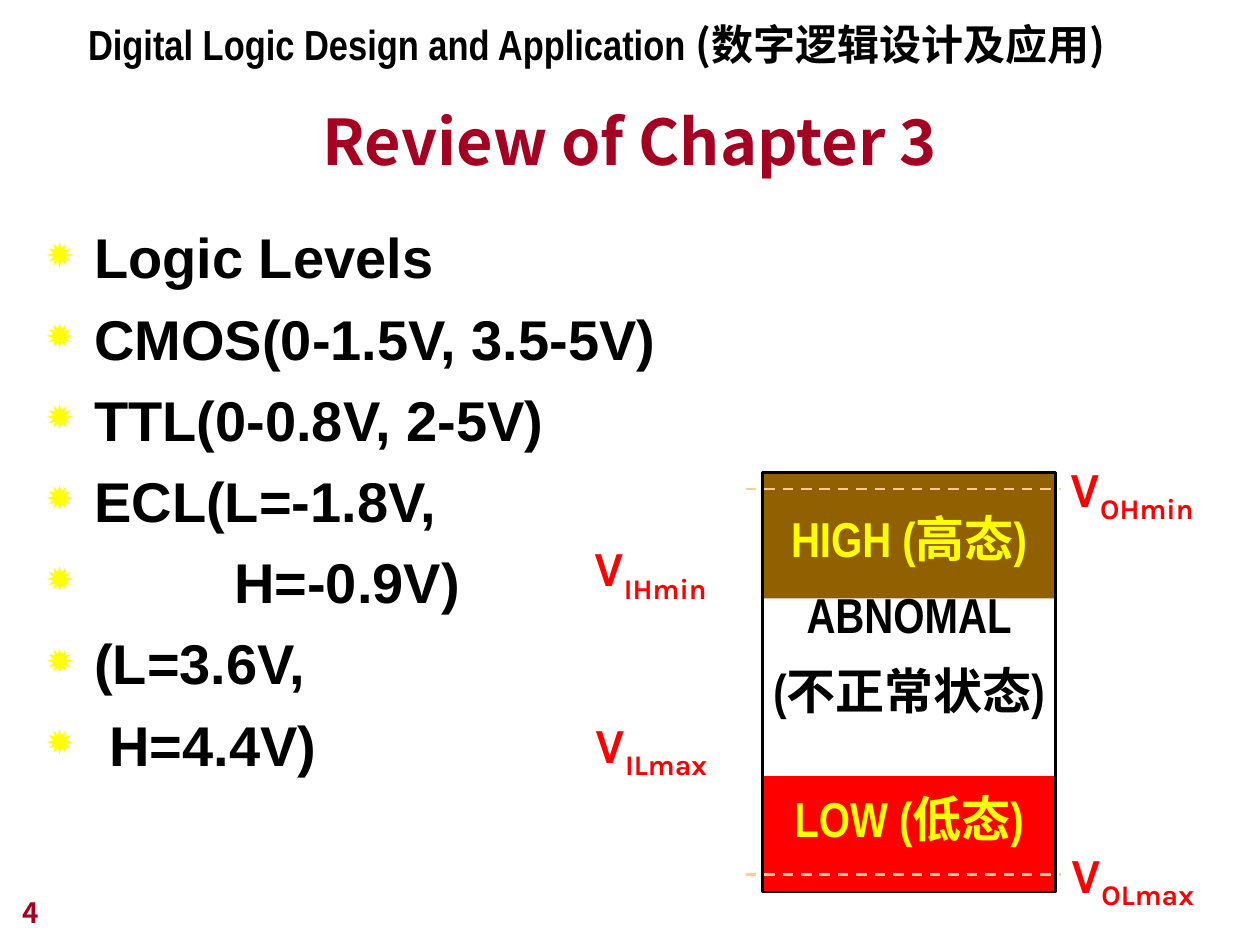
from lxml import etree
from pptx import Presentation
from pptx.dml.color import RGBColor
from pptx.enum.dml import MSO_LINE
from pptx.enum.shapes import MSO_CONNECTOR, MSO_SHAPE
from pptx.enum.text import MSO_ANCHOR, PP_ALIGN
from pptx.oxml.ns import qn
from pptx.util import Inches, Pt

DASH = MSO_LINE.DASH
STRAIGHT = MSO_CONNECTOR.STRAIGHT
RECTANGLE = MSO_SHAPE.RECTANGLE
TOP, BOTTOM = MSO_ANCHOR.TOP, MSO_ANCHOR.BOTTOM
LEFT, CENTER = PP_ALIGN.LEFT, PP_ALIGN.CENTER

BLACK = RGBColor(0x00, 0x00, 0x00)
CRIMSON = RGBColor(0xA5, 0x00, 0x21)
YELLOW = RGBColor(0xFF, 0xFF, 0x00)
RED = RGBColor(0xFF, 0x00, 0x00)
BROWN = RGBColor(0x91, 0x61, 0x01)
PEACH = RGBColor(0xFF, 0xCC, 0x99)

BODY_FONT = "Arial"
NARROW_FONT = "Arial Narrow"
LABEL_FONT = "Karla"
CJK_FONT = "Noto Sans CJK JP"

# Text and the left indent of each bullet
BULLETS = [
    ("Logic Levels", 0.38),
    ("CMOS(0-1.5V, 3.5-5V)", 0.38),
    ("TTL(0-0.8V, 2-5V)", 0.38),
    ("ECL(L=-1.8V,", 0.38),
    ("H=-0.9V)", 1.49),
    ("(L=3.6V,", 0.38),
    ("H=4.4V)", 0.5),
]

# Text, colour, line spacing and space before of each level
LEVELS = [
    ("HIGH (高态)", YELLOW, 1.5, 0),
    ("ABNOMAL", BLACK, 1.3, 0),
    ("(不正常状态)", BLACK, 1.3, 0),
    ("LOW (低态)", YELLOW, 1.1, 36),
]

# Subscript, left, top and width of each voltage label
VOLTAGES = [
    ("OLmax", 8.41, 6.65, 1.24),
    ("ILmax", 4.63, 5.62, 1.15),
    ("IHmin", 4.62, 4.22, 1.15),
    ("OHmin", 8.4, 3.59, 1.24),
]

BAR_LEFT, BAR_TOP, BAR_WIDTH, BAR_HEIGHT = 6.05, 3.75, 2.33, 3.33
HIGH_HEIGHT, LOW_HEIGHT = 1, 0.92


def add_run(paragraph, text, size, font_name, color):
    run = paragraph.add_run()
    run.text = text
    run.font.size = Pt(size)
    run.font.name = font_name
    run.font.bold = True
    run.font.color.rgb = color
    return run


def add_text_box(slide, left, top, width, height, anchor=TOP, wrap=True):
    box = slide.shapes.add_textbox(
        Inches(left), Inches(top), Inches(width), Inches(height))
    box.text_frame.word_wrap = wrap
    box.text_frame.vertical_anchor = anchor
    return box.text_frame


def next_paragraph(frame, index):
    return frame.paragraphs[0] if index == 0 else frame.add_paragraph()


def add_bullet(paragraph, indent):
    properties = paragraph._p.get_or_add_pPr()
    properties.set("marL", str(Inches(indent)))
    properties.set("indent", str(-Inches(indent)))
    color = etree.SubElement(properties, qn("a:buClr"))
    etree.SubElement(color, qn("a:srgbClr"), val=str(YELLOW))
    etree.SubElement(properties, qn("a:buSzPct"), val="80000")
    etree.SubElement(properties, qn("a:buChar"), char="✹")


def add_bullet_list(slide):
    frame = add_text_box(slide, 0.27, 1.72, 9, 5.33)
    for index, (text, indent) in enumerate(BULLETS):
        paragraph = next_paragraph(frame, index)
        add_bullet(paragraph, indent)
        if index:
            paragraph.space_before = Pt(8)
        add_run(paragraph, text, 32, BODY_FONT, BLACK)


def add_bar_part(slide, top, height, fill=None):
    shape = slide.shapes.add_shape(
        RECTANGLE, Inches(BAR_LEFT), Inches(top),
        Inches(BAR_WIDTH), Inches(height))
    shape.shadow.inherit = False
    if fill is None:
        shape.fill.background()
        shape.line.color.rgb = BLACK
        shape.line.width = Pt(1.5)
    else:
        shape.fill.solid()
        shape.fill.fore_color.rgb = fill
        shape.line.fill.background()
    return shape


def add_level_bar(slide):
    low_top = BAR_TOP + BAR_HEIGHT - LOW_HEIGHT
    add_bar_part(slide, low_top, LOW_HEIGHT, RED)
    add_bar_part(slide, BAR_TOP, HIGH_HEIGHT, BROWN)
    frame = add_bar_part(slide, BAR_TOP, BAR_HEIGHT).text_frame
    frame.word_wrap = False
    frame.vertical_anchor = TOP
    for index, (text, color, spacing, before) in enumerate(LEVELS):
        paragraph = next_paragraph(frame, index)
        paragraph.alignment = CENTER
        paragraph.line_spacing = spacing
        if before:
            paragraph.space_before = Pt(before)
        add_run(paragraph, text, 28, NARROW_FONT, color)


def add_threshold_line(slide, y):
    line = slide.shapes.add_connector(
        STRAIGHT, Inches(5.92), Inches(y), Inches(8.42), Inches(y))
    line.line.color.rgb = PEACH
    line.line.width = Pt(1.5)
    line.line.dash_style = DASH
    etree.SubElement(line._element.spPr, qn("a:effectLst"))


def add_voltage_label(slide, subscript, left, top, width):
    frame = add_text_box(slide, left, top, width, 0.63, wrap=False)
    paragraph = frame.paragraphs[0]
    add_run(paragraph, "V", 28, LABEL_FONT, RED)
    run = add_run(paragraph, subscript, 28, LABEL_FONT, RED)
    run.font._element.set("baseline", "-25000")


def main():
    presentation = Presentation()
    presentation.slide_width = Inches(10)
    presentation.slide_height = Inches(7.5)
    slide = presentation.slides.add_slide(presentation.slide_layouts[6])

    # Slide number and title
    number = add_text_box(slide, 0.08, 6.92, 2.08, 0.5, BOTTOM).paragraphs[0]
    add_run(number, "4", 16, CJK_FONT, CRIMSON)
    title = add_text_box(slide, 0.75, 0.63, 8.5, 0.83, BOTTOM).paragraphs[0]
    title.alignment = CENTER
    add_run(title, "Review of Chapter 3", 36, CJK_FONT, CRIMSON)

    add_bullet_list(slide)

    # Logic level diagram
    add_level_bar(slide)
    for y in (6.94, 3.88):
        add_threshold_line(slide, y)
    for voltage in VOLTAGES:
        add_voltage_label(slide, *voltage)

    # Course header
    header = add_text_box(slide, 0.6, 0.1, 8.41, 0.5).paragraphs[0]
    header.alignment = LEFT
    add_run(header, "Digital Logic Design and Application ", 24, NARROW_FONT, BLACK)
    add_run(header, "(数字逻辑设计及应用)", 24, CJK_FONT, BLACK)

    presentation.save("out.pptx")


if __name__ == "__main__":
    main()
